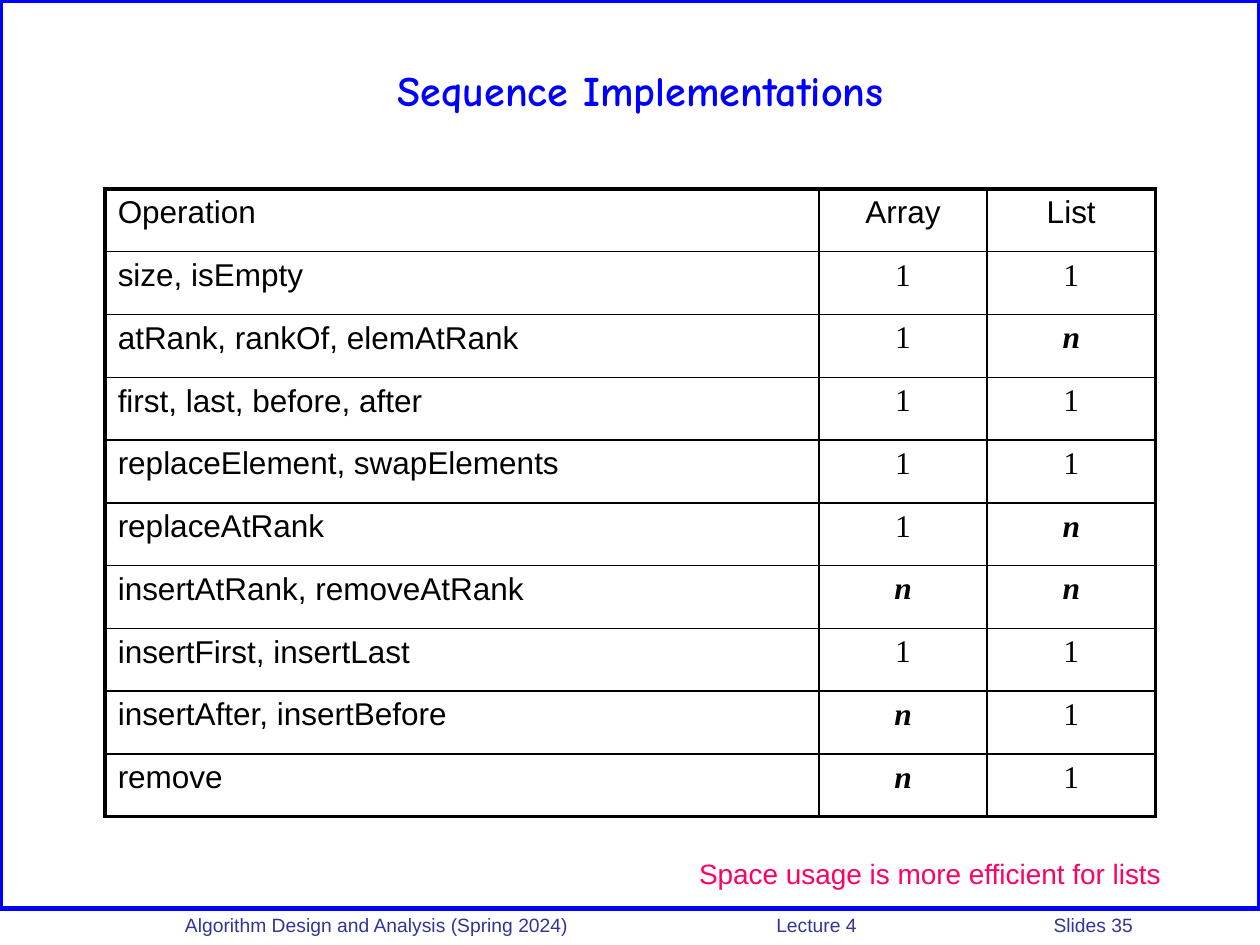
import pptx
import pptx.dml.color
import pptx.enum.shapes
import pptx.enum.text
import pptx.oxml
import pptx.oxml.ns
import pptx.util

Cm = pptx.util.Cm
Pt = pptx.util.Pt
RGBColor = pptx.dml.color.RGBColor
PP_ALIGN = pptx.enum.text.PP_ALIGN
MSO_ANCHOR = pptx.enum.text.MSO_ANCHOR
MSO_AUTO_SIZE = pptx.enum.text.MSO_AUTO_SIZE

BLUE = RGBColor(0x00, 0x00, 0xFF)
NAVY = RGBColor(0x33, 0x33, 0x99)
PINK = RGBColor(0xFF, 0x00, 0x66)
BLACK = RGBColor(0x00, 0x00, 0x00)

THICK, THIN = Pt(2.25), Pt(1)
COLUMN_WIDTHS = (14.39, 3.39, 3.39)
TABLE_HEIGHT = 12.65
ROWS = [
    ("Operation", "Array", "List"),
    ("size, isEmpty", "1", "1"),
    ("atRank, rankOf, elemAtRank", "1", "n"),
    ("first, last, before, after", "1", "1"),
    ("replaceElement, swapElements", "1", "1"),
    ("replaceAtRank", "1", "n"),
    ("insertAtRank, removeAtRank", "n", "n"),
    ("insertFirst, insertLast", "1", "1"),
    ("insertAfter, insertBefore", "n", "1"),
    ("remove", "n", "1"),
]


def add_run(p, text, size, color, font="Arial", bold=False, italic=False):
    r = p.add_run()
    r.text = text
    r.font.name = font
    r.font.size = Pt(size)
    r.font.bold = bold
    r.font.italic = italic
    r.font.color.rgb = color


def add_frame(slide):
    sp = slide.shapes.add_shape(pptx.enum.shapes.MSO_SHAPE.RECTANGLE,
                                0, 0, Cm(25.4), Cm(18.31))
    sp.shadow.inherit = False
    sp.fill.background()
    sp.line.color.rgb = BLUE
    sp.line.width = Pt(3)


def add_footer(slide, parts, stops):
    """Set the parts on one line, each after the first at a tab stop."""
    sp = slide.shapes.add_textbox(Cm(2.97), Cm(18.29), Cm(22.02), Cm(0.66))
    tf = sp.text_frame
    tf.word_wrap = True
    tf.margin_left = Cm(0.76)
    p = tf.paragraphs[0]
    tabs = pptx.oxml.ns.qn("a:tabLst")
    tab_list = p._p.get_or_add_pPr().makeelement(tabs, {})
    p._p.get_or_add_pPr().append(tab_list)
    for stop in stops:
        tab = tab_list.makeelement(pptx.oxml.ns.qn("a:tab"),
                                   {"pos": str(Cm(stop)), "algn": "l"})
        tab_list.append(tab)
    add_run(p, "\t".join(parts), 11, NAVY)


def set_title(slide, text):
    sp = slide.shapes.title
    sp.left, sp.top, sp.width, sp.height = Cm(1.7), Cm(0.43), Cm(22.43), Cm(2.74)
    tf = sp.text_frame
    tf.auto_size = MSO_AUTO_SIZE.NONE
    tf.vertical_anchor = MSO_ANCHOR.MIDDLE
    p = tf.paragraphs[0]
    p.alignment = PP_ALIGN.CENTER
    add_run(p, text, 24, BLUE, "Comic Neue", bold=True)


def set_borders(cell, **widths):
    """Draw the sides of a cell, given as L, R, T and B in schema order."""
    pr = cell._tc.get_or_add_tcPr()
    for i, (side, width) in enumerate(widths.items()):
        pr.insert(i, pptx.oxml.parse_xml(
            f'<a:ln{side} {pptx.oxml.ns.nsdecls("a")} w="{width}"><a:solidFill>'
            f'<a:srgbClr val="{BLACK}"/></a:solidFill></a:ln{side}>'))


def fill_cell(cell, text, is_cost, centred):
    cell.fill.background()
    p = cell.text_frame.paragraphs[0]
    p.alignment = PP_ALIGN.CENTER if centred else PP_ALIGN.LEFT
    symbol = is_cost and text == "n"
    add_run(p, text, 18, BLACK, "Times New Roman" if is_cost else "Arial",
            bold=symbol, italic=symbol)


def add_cost_table(slide):
    last_row, last_col = len(ROWS) - 1, len(COLUMN_WIDTHS) - 1
    table = slide.shapes.add_table(
        len(ROWS), len(COLUMN_WIDTHS), Cm(2.12), Cm(3.81),
        Cm(sum(COLUMN_WIDTHS)), Cm(TABLE_HEIGHT)).table
    table.first_row = False
    table.horz_banding = False
    for column, width in zip(table.columns, COLUMN_WIDTHS):
        column.width = Cm(width)
    for i, row in enumerate(ROWS):
        table.rows[i].height = Cm(TABLE_HEIGHT / len(ROWS))
        for j, text in enumerate(row):
            cell = table.cell(i, j)
            fill_cell(cell, text, is_cost=i > 0 and j > 0, centred=j > 0)
            set_borders(cell,
                        L=THICK if j == 0 else THIN,
                        R=THICK if j == last_col else THIN,
                        T=THICK if i == 0 else THIN,
                        B=THICK if i == last_row else THIN)


def add_note(slide, text):
    sp = slide.shapes.add_textbox(Cm(13.77), Cm(17.15), Cm(9.96), Cm(0.94))
    tf = sp.text_frame
    tf.word_wrap = False
    tf.auto_size = MSO_AUTO_SIZE.SHAPE_TO_FIT_TEXT
    p = tf.paragraphs[0]
    p.alignment = PP_ALIGN.CENTER
    add_run(p, text, 16, PINK)


def main():
    prs = pptx.Presentation()
    prs.slide_width, prs.slide_height = Cm(25.4), Cm(19.05)
    slide = prs.slides.add_slide(prs.slide_layouts[5])
    add_frame(slide)
    add_footer(slide, ("Algorithm Design and Analysis (Spring 2024)",
                       "Lecture 4", "Slides 35"), (11.92, 17.51))
    set_title(slide, "Sequence Implementations")
    add_cost_table(slide)
    add_note(slide, "Space usage is more efficient for lists")
    prs.save("out.pptx")


if __name__ == "__main__":
    main()
